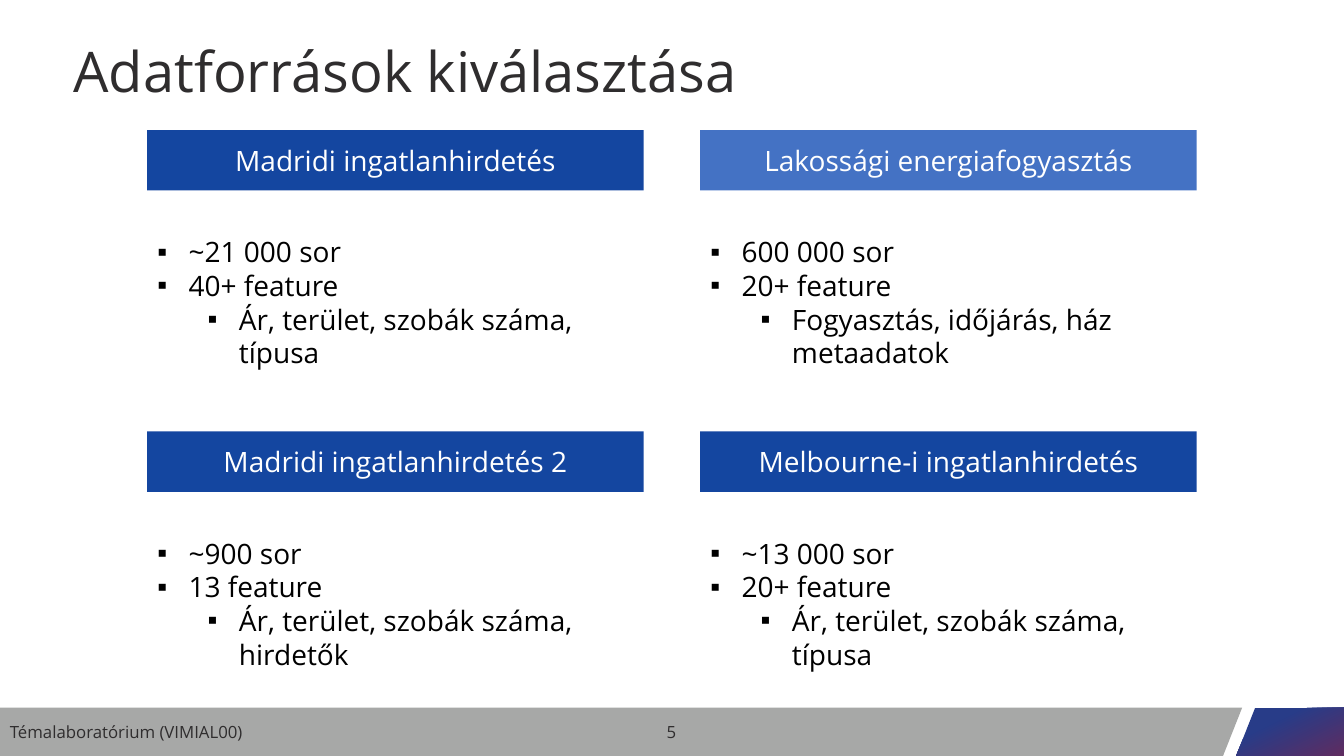
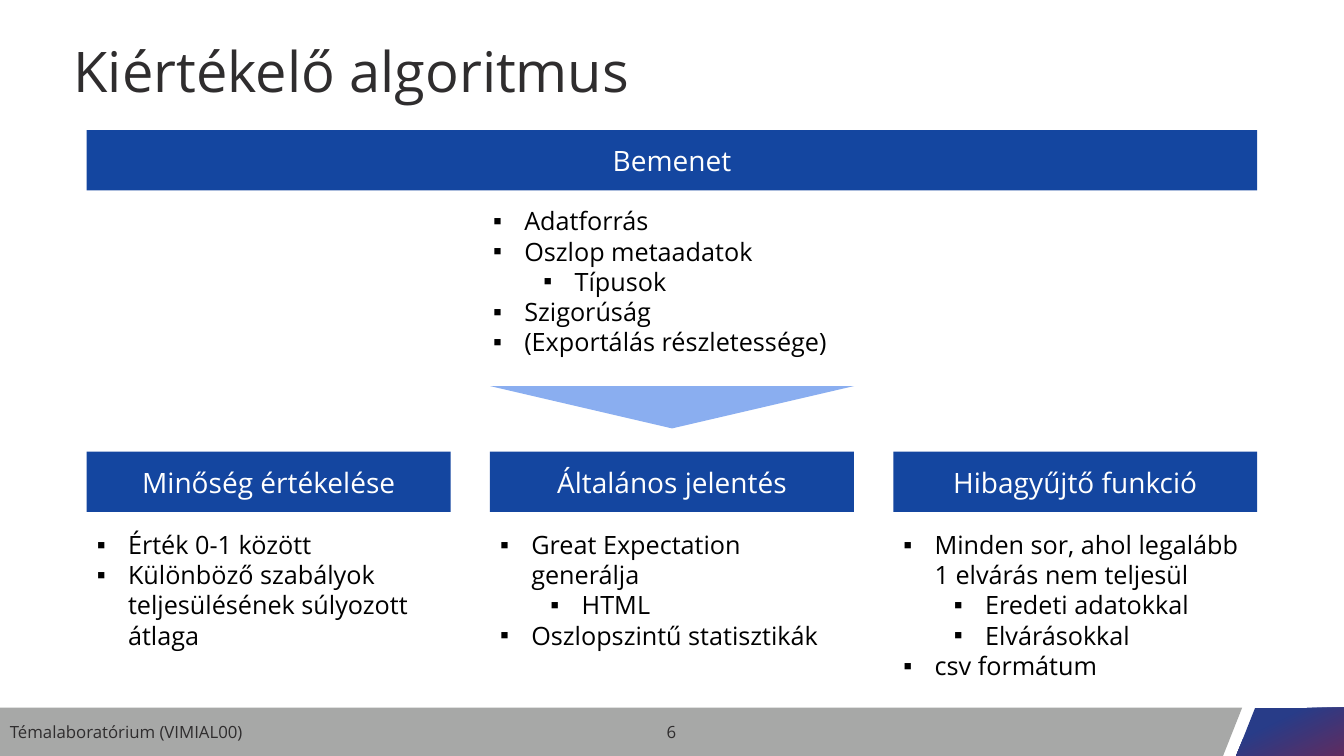
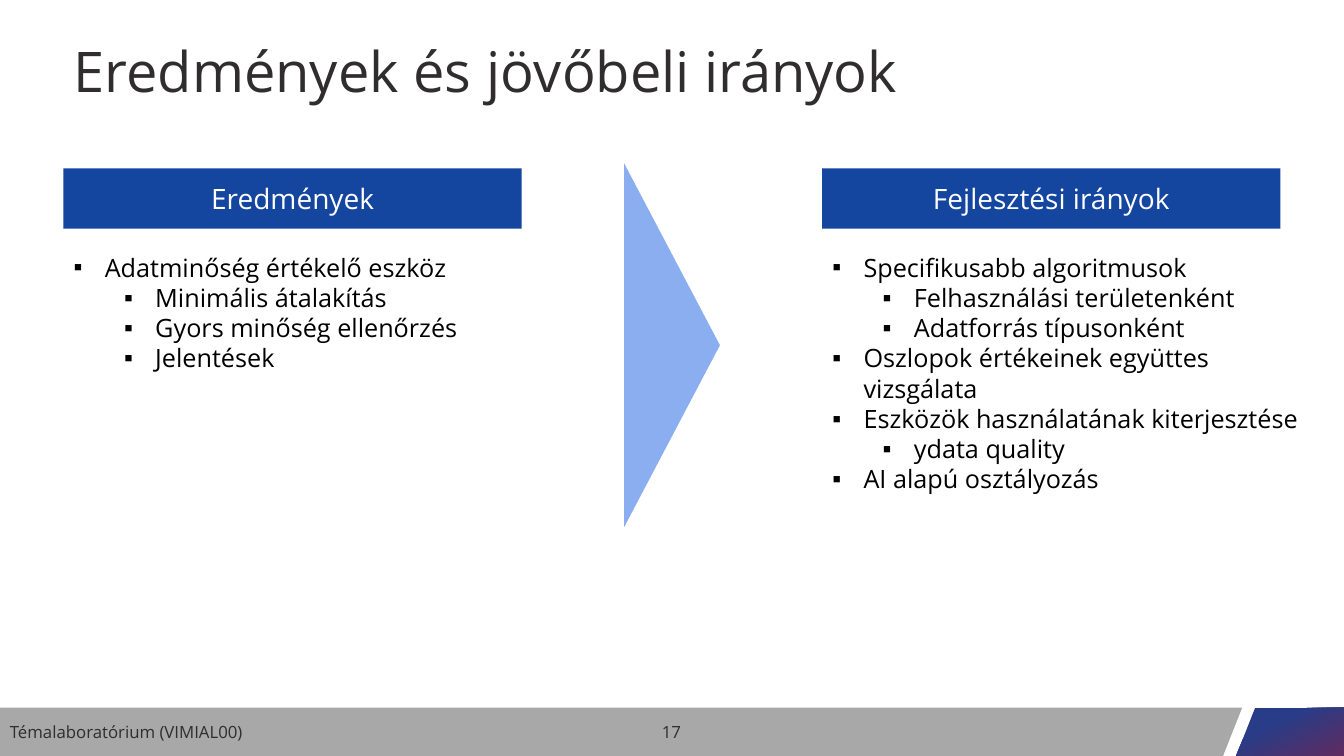
from lxml.etree import SubElement
from pptx import Presentation
from pptx.dml.color import RGBColor as Rgb
from pptx.enum.shapes import MSO_SHAPE as Kind
from pptx.enum.text import MSO_ANCHOR as Anchor, MSO_AUTO_SIZE as Fit, PP_ALIGN as Align
from pptx.oxml.ns import qn
from pptx.util import Inches, Pt

WIDE, HIGH = 13.33, 7.5
FACE = "Open Sans"
BAR = 0.6
HUES = {"ink": "2F2D2E", "text": "000000", "white": "FFFFFF", "blue": "1446A0",
        "mid": "4472C4", "pale": "8AAEF0", "grey": "A7A8A7",
        "navy": "283C88", "plum": "5F2C60"}
BAND = [(0, 7.02), (12.32, 7.02), (12.13, HIGH), (0, HIGH)]
TILE = [(12.45, 7.02), (WIDE, 7.02), (WIDE, HIGH), (12.26, HIGH)]


def hue(name):
    """Return the named colour."""
    return Rgb.from_string(HUES[name])


def style(part, **vals):
    """Set each given attribute on the part."""
    for key, val in vals.items():
        setattr(part, key, val)


def place(part, box):
    """Move the part to a box of left, top, width and height in inches."""
    style(part, **dict(zip(("left", "top", "width", "height"), map(Inches, box))))


def columns(count, margin, gap):
    """Return the left edges and the width of equal centred columns."""
    width = (WIDE - 2 * margin - gap * (count - 1)) / count
    return [margin + i * (width + gap) for i in range(count)], width


def write(part, lines, size, ink, anchor=Anchor.MIDDLE, fit=Fit.NONE, **para):
    """Fill the part with formatted paragraphs and return them."""
    frame = part.text_frame
    style(frame, text="\n".join(lines), word_wrap=True,
          vertical_anchor=anchor, auto_size=fit)
    for line in frame.paragraphs:
        style(line, **{"space_before": Pt(0), "line_spacing": 1.0, **para})
        for run in line.runs:
            style(run.font, name=FACE, size=Pt(size), bold=False)
            run.font.color.rgb = hue(ink)
    return frame.paragraphs


def paint(shape, fill):
    """Give the shape a flat fill without line or shadow."""
    shape.shadow.inherit = False
    shape.line.fill.background()
    shape.fill.solid()
    shape.fill.fore_color.rgb = hue(fill)


def outline(slide, points, fill):
    """Draw a closed polygon through the points."""
    dots = [(Inches(x), Inches(y)) for x, y in points]
    pen = slide.shapes.build_freeform(*dots[0], scale=1.0)
    pen.add_line_segments(dots[1:], close=True)
    shape = pen.convert_to_shape()
    paint(shape, fill)
    return shape


def footer(slide, number):
    """Draw the bottom band with the course name and slide number."""
    outline(slide, BAND, "grey")
    tile = outline(slide, TILE, "navy")
    tile.fill.gradient()
    tile.fill.gradient_angle = 296
    for stop, at, name in zip(tile.fill.gradient_stops, (0.32, 1), ("navy", "plum")):
        stop.position = at
        stop.color.rgb = hue(name)
    for x, width, text, align in ((0, 4.5, "Témalaboratórium (VIMIAL00)", Align.LEFT),
                                  (5.16, 3, str(number), Align.CENTER)):
        label = slide.shapes.add_textbox(0, 0, 0, 0)
        place(label, (x, 7.05, width, 0.42))
        write(label, [text], 12, "ink", alignment=align)


def start(deck, layout, title, number):
    """Add a slide with title and footer, and return it with its list bodies."""
    slide = deck.slides.add_slide(deck.slide_layouts.get_by_name(layout))
    head, *bodies = slide.placeholders
    place(head, (0.63, 0.34, 12.05, 0.79))
    write(head, [title], 40, "ink", alignment=Align.LEFT, line_spacing=0.9)
    footer(slide, number)
    return slide, bodies


def bar(slide, box, text, fill="blue"):
    """Draw a heading bar."""
    shape = slide.shapes.add_shape(Kind.RECTANGLE, 0, 0, 0, 0)
    place(shape, box)
    paint(shape, fill)
    write(shape, [text], 20, "white", alignment=Align.CENTER)


def bullets(body, box, items, size):
    """Fill a body placeholder with a list of level and text pairs."""
    place(body, box)
    lines = write(body, [text for _, text in items], size, "text",
                  Anchor.TOP, Fit.SHAPE_TO_FIT_TEXT, alignment=Align.LEFT)
    for line, (level, _) in zip(lines, items):
        line.level = level
        props = line._p.get_or_add_pPr()
        props.set("marL", str(Inches(0.31 + 0.5 * level)))
        props.set("indent", str(-Inches(0.31)))
        SubElement(props, qn("a:buFont")).set("typeface", "Arial")
        SubElement(props, qn("a:buChar")).set("char", "▪")


def pane(slide, body, box, head, items, size=18, drop=0.72, fill="blue", spill=0):
    """Place a heading bar with its list at the given drop below the box top."""
    x, y, width, height = box
    bar(slide, (x, y, width, BAR), head, fill)
    bullets(body, (x, y + drop, width + spill, height - drop), items, size)


def wedge(slide, box, turn):
    """Draw a pale triangle turned by the given angle."""
    shape = slide.shapes.add_shape(Kind.ISOSCELES_TRIANGLE, 0, 0, 0, 0)
    place(shape, box)
    paint(shape, "pale")
    shape.rotation = turn


def sources(deck):
    """Build the grid of four data sources."""
    slide, bodies = start(deck, "Comparison", "Adatforrások kiválasztása", 5)
    cells = [
        ("Madridi ingatlanhirdetés", "~21 000 sor", "40+ feature",
         "Ár, terület, szobák száma, típusa", "blue"),
        ("Lakossági energiafogyasztás", "600 000 sor", "20+ feature",
         "Fogyasztás, időjárás, ház metaadatok", "mid"),
        ("Madridi ingatlanhirdetés 2", "~900 sor", "13 feature",
         "Ár, terület, szobák száma, hirdetők", "blue"),
        ("Melbourne-i ingatlanhirdetés", "~13 000 sor", "20+ feature",
         "Ár, terület, szobák száma, típusa", "blue"),
    ]
    lefts, width = columns(2, 1.46, 0.56)
    for i, (head, rows, feats, names, fill) in enumerate(cells):
        row, col = divmod(i, 2)
        pane(slide, bodies[i], (lefts[col], 1.29 + 2.99 * row, width, 2.44), head,
             [(0, rows), (0, feats), (1, names)], 20, 0.99, fill)


def method(deck):
    """Build the input block and its three outputs."""
    slide, bodies = start(deck, "Comparison", "Kiértékelő algoritmus", 6)
    lefts, width = columns(3, 0.86, 0.39)
    bar(slide, (lefts[0], 1.29, WIDE - 2 * lefts[0], BAR), "Bemenet")
    bullets(bodies[0], (4.79, 1.99, 3.76, 1.62),
            [(0, "Adatforrás"), (0, "Oszlop metaadatok"), (1, "Típusok"),
             (0, "Szigorúság"), (0, "(Exportálás részletessége)")], 18)
    wedge(slide, (lefts[1], 3.83, width, 0.42), 180)
    outputs = [
        ("Minőség értékelése", 1.31,
         [(0, "Érték 0-1 között"),
          (0, "Különböző szabályok teljesülésének súlyozott átlaga")]),
        ("Általános jelentés", 1.31,
         [(0, "Great Expectation generálja"), (1, "HTML"),
          (0, "Oszlopszintű statisztikák")]),
        ("Hibagyűjtő funkció", 1.62,
         [(0, "Minden sor, ahol legalább 1 elvárás nem teljesül"),
          (1, "Eredeti adatokkal"), (1, "Elvárásokkal"), (0, "csv formátum")]),
    ]
    for x, body, (head, height, items) in zip(lefts, bodies[1:], outputs):
        pane(slide, body, (x, 4.48, width, 0.72 + height), head, items)


def results(deck):
    """Build the results and the future directions side by side."""
    slide, bodies = start(deck, "Two Content", "Eredmények és jövőbeli irányok", 17)
    lefts, width = columns(2, 0.63, 2.98)
    sides = [
        ("Eredmények", 1.31, 0,
         [(0, "Adatminőség értékelő eszköz"), (1, "Minimális átalakítás"),
          (1, "Gyors minőség ellenőrzés"), (1, "Jelentések")]),
        ("Fejlesztési irányok", 2.52, 0.34,
         [(0, "Specifikusabb algoritmusok"), (1, "Felhasználási területenként"),
          (1, "Adatforrás típusonként"),
          (0, "Oszlopok értékeinek együttes vizsgálata"),
          (0, "Eszközök használatának kiterjesztése"), (1, "ydata quality"),
          (0, "AI alapú osztályozás")]),
    ]
    for x, body, (head, height, spill, items) in zip(lefts, bodies, sides):
        pane(slide, body, (x, 1.67, width, 0.78 + height), head, items,
             drop=0.78, spill=spill)
    wedge(slide, (4.86, 2.95, 3.61, 0.95), 90)


def main():
    """Build and save the deck."""
    deck = Presentation()
    style(deck, slide_width=Inches(WIDE), slide_height=Inches(HIGH))
    for build in (sources, method, results):
        build(deck)
    deck.save("out.pptx")


if __name__ == "__main__":
    main()
